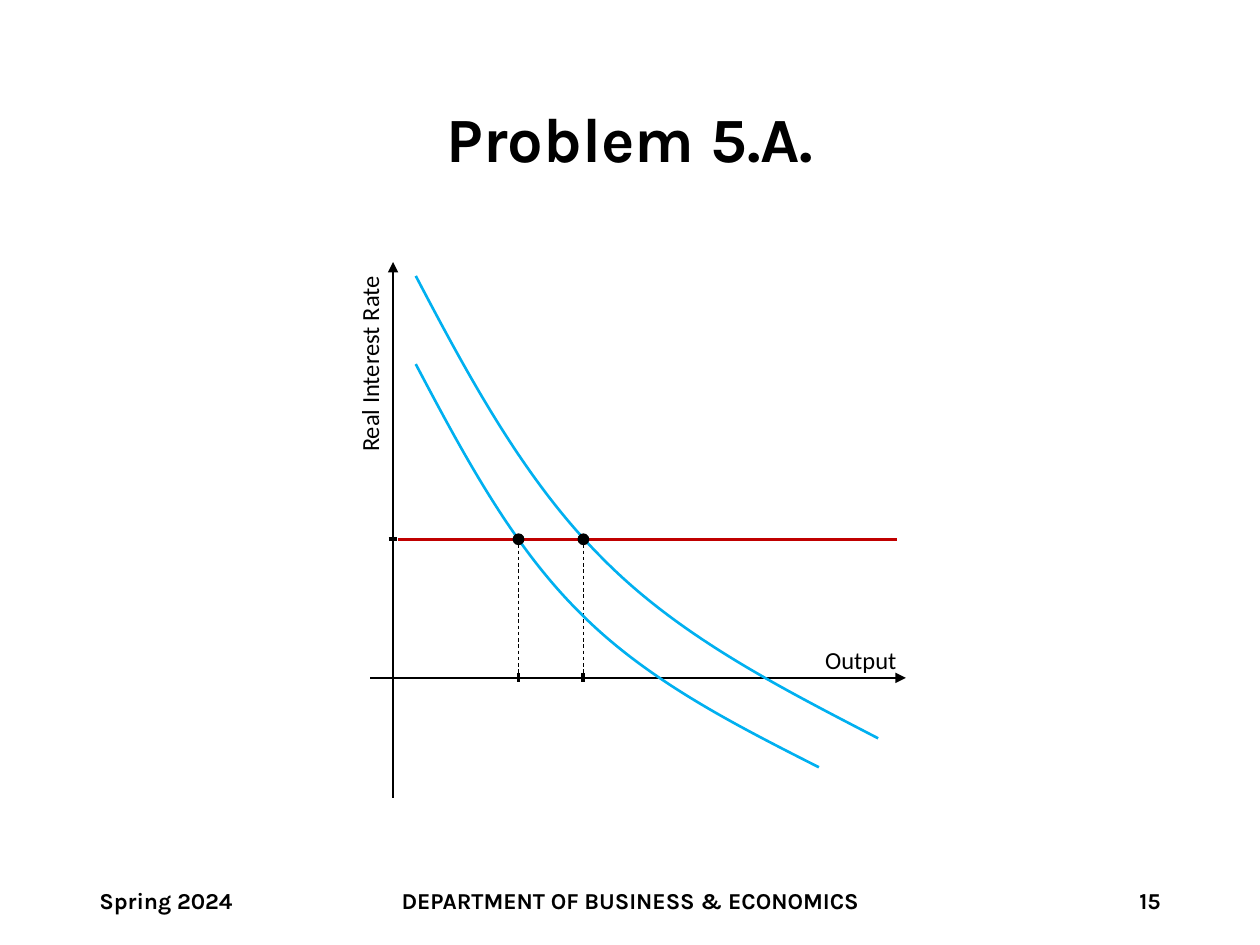
from dataclasses import dataclass

import pptx
import pptx.dml.color
import pptx.enum.dml
import pptx.enum.shapes
import pptx.enum.text
import pptx.oxml.ns
import pptx.oxml.xmlchemy
import pptx.util

RGB = pptx.dml.color.RGBColor
BLACK = RGB(0x00, 0x00, 0x00)
RED = RGB(0xC0, 0x00, 0x00)
BLUE = RGB(0x00, 0xB0, 0xF0)
ALIGN = pptx.enum.text.PP_ALIGN
ANCHOR = pptx.enum.text.MSO_ANCHOR
Point = tuple[float, float]

# The slide is a grid of 100 columns and 75 rows of square cells.
COLS, ROWS = 100, 75
WIDTH = pptx.util.Inches(10)
CELL = WIDTH // COLS

AXIS_X, AXIS_Y = 31.2, 53.8
RATE_Y = 42.8
DOT = 0.8
TICK = 0.7


@dataclass
class Label:
    text: str
    left: float
    top: float
    width: float
    height: float
    size: float
    font: str = "Karla"
    bold: bool = True
    align: ALIGN = ALIGN.LEFT
    wrap: bool = True
    turn: float = 0
    space: float = 1


@dataclass
class Demand:
    """An IS curve: its two joined Bezier arcs and the output where it meets the rate."""
    points: list[Point]
    output: float


LABELS = [
    Label("Problem 5.A.", 6.9, 4, 86.2, 14.5, 36, align=ALIGN.CENTER, space=0.9),
    Label("Spring 2024", 6.9, 69.5, 22.5, 4, 13),
    Label("DEPARTMENT OF BUSINESS & ECONOMICS", 18.5, 69.5, 63, 4, 13, align=ALIGN.CENTER),
    Label("15", 70.6, 69.5, 22.5, 4, 13, align=ALIGN.RIGHT),
    Label("Output", 64.5, 50.7, 7.8, 3.4, 14, "Calibri", False, wrap=False),
    Label("Real Interest Rate", 21.3, 27.1, 16.1, 3.4, 14, "Calibri", False,
          wrap=False, turn=270),
]

CURVES = [
    Demand([(33, 21.9), (37.3, 30.1), (41.7, 38.2), (47.8, 44.3),
            (53.9, 50.5), (61.8, 54.5), (69.7, 58.6)], 46.3),
    Demand([(33, 28.9), (36.8, 36.1), (40.6, 43.2), (45.9, 48.5),
            (51.2, 53.9), (58.1, 57.4), (65, 60.9)], 41.15),
]


def cells(count: float) -> pptx.util.Emu:
    return pptx.util.Emu(round(count * CELL))


def add_label(shapes, label: Label) -> None:
    box = shapes.add_textbox(*map(cells, (label.left, label.top, label.width, label.height)))
    box.rotation = label.turn
    frame = box.text_frame
    frame.text = label.text
    frame.word_wrap = label.wrap
    frame.vertical_anchor = ANCHOR.MIDDLE if label.wrap else ANCHOR.TOP
    if not label.wrap:
        frame.auto_size = pptx.enum.text.MSO_AUTO_SIZE.SHAPE_TO_FIT_TEXT
    para = frame.paragraphs[0]
    para.alignment = label.align
    para.line_spacing = label.space
    font = para.runs[0].font
    font.name, font.size, font.bold = label.font, pptx.util.Pt(label.size), label.bold
    font.color.rgb = BLACK


def add_line(shapes, start: Point, end: Point, color: RGB = BLACK, width: float = 1.5,
             arrow: bool = False, dash: bool = False) -> None:
    link = shapes.add_connector(pptx.enum.shapes.MSO_CONNECTOR.STRAIGHT,
                                *map(cells, (*start, *end)))
    link.line.color.rgb = color
    link.line.width = pptx.util.Pt(width)
    if dash:
        link.line.dash_style = pptx.enum.dml.MSO_LINE.DASH
    if arrow:
        head = pptx.oxml.xmlchemy.OxmlElement("a:tailEnd")
        head.set("type", "triangle")
        link._element.spPr.find(pptx.oxml.ns.qn("a:ln")).append(head)
    link._element.spPr.append(pptx.oxml.xmlchemy.OxmlElement("a:effectLst"))


def add_curve(shapes, points: list[Point]) -> None:
    """Draw a track through the points, then turn each three segments into a cubic arc."""
    spots = [(cells(x), cells(y)) for x, y in points]
    form = shapes.build_freeform(*spots[0])
    form.add_line_segments(spots[1:], close=False)
    curve = form.convert_to_shape()
    curve.shadow.inherit = False
    curve.fill.background()
    curve.line.color.rgb = BLUE
    curve.line.width = pptx.util.Pt(1.5)
    track = next(curve._element.iter(pptx.oxml.ns.qn("a:path")))
    steps = list(track)[1:]
    for first in range(0, len(steps), 3):
        arc = pptx.oxml.xmlchemy.OxmlElement("a:cubicBezTo")
        for step in steps[first:first + 3]:
            arc.append(step[0])
            track.remove(step)
        track.append(arc)


def add_dot(shapes, x: float, y: float) -> None:
    dot = shapes.add_shape(pptx.enum.shapes.MSO_SHAPE.OVAL,
                           *map(cells, (x - DOT / 2, y - DOT / 2, DOT, DOT)))
    dot.shadow.inherit = False
    dot.fill.solid()
    dot.fill.fore_color.rgb = BLACK
    dot.line.color.rgb = BLACK
    dot.line.width = pptx.util.Pt(1)


def add_demand(shapes, demand: Demand) -> None:
    x = demand.output
    add_curve(shapes, demand.points)
    add_dot(shapes, x, RATE_Y)
    add_line(shapes, (x, AXIS_Y - TICK / 2), (x, AXIS_Y + TICK / 2), width=2.25)
    add_line(shapes, (x, RATE_Y + DOT / 2), (x, AXIS_Y), width=0.5, dash=True)


def main() -> None:
    deck = pptx.Presentation()
    deck.slide_width, deck.slide_height = WIDTH, cells(ROWS)
    shapes = deck.slides.add_slide(deck.slide_layouts[6]).shapes

    add_line(shapes, (31.6, RATE_Y), (71.2, RATE_Y), RED)
    add_line(shapes, (29.4, AXIS_Y), (71.9, AXIS_Y), arrow=True)
    add_line(shapes, (AXIS_X, 63.3), (AXIS_X, 20.8), arrow=True)
    for label in LABELS:
        add_label(shapes, label)
    add_line(shapes, (AXIS_X - TICK / 2, RATE_Y), (AXIS_X + TICK / 2, RATE_Y), width=2.25)
    for demand in CURVES:
        add_demand(shapes, demand)

    deck.save("out.pptx")


if __name__ == "__main__":
    main()
